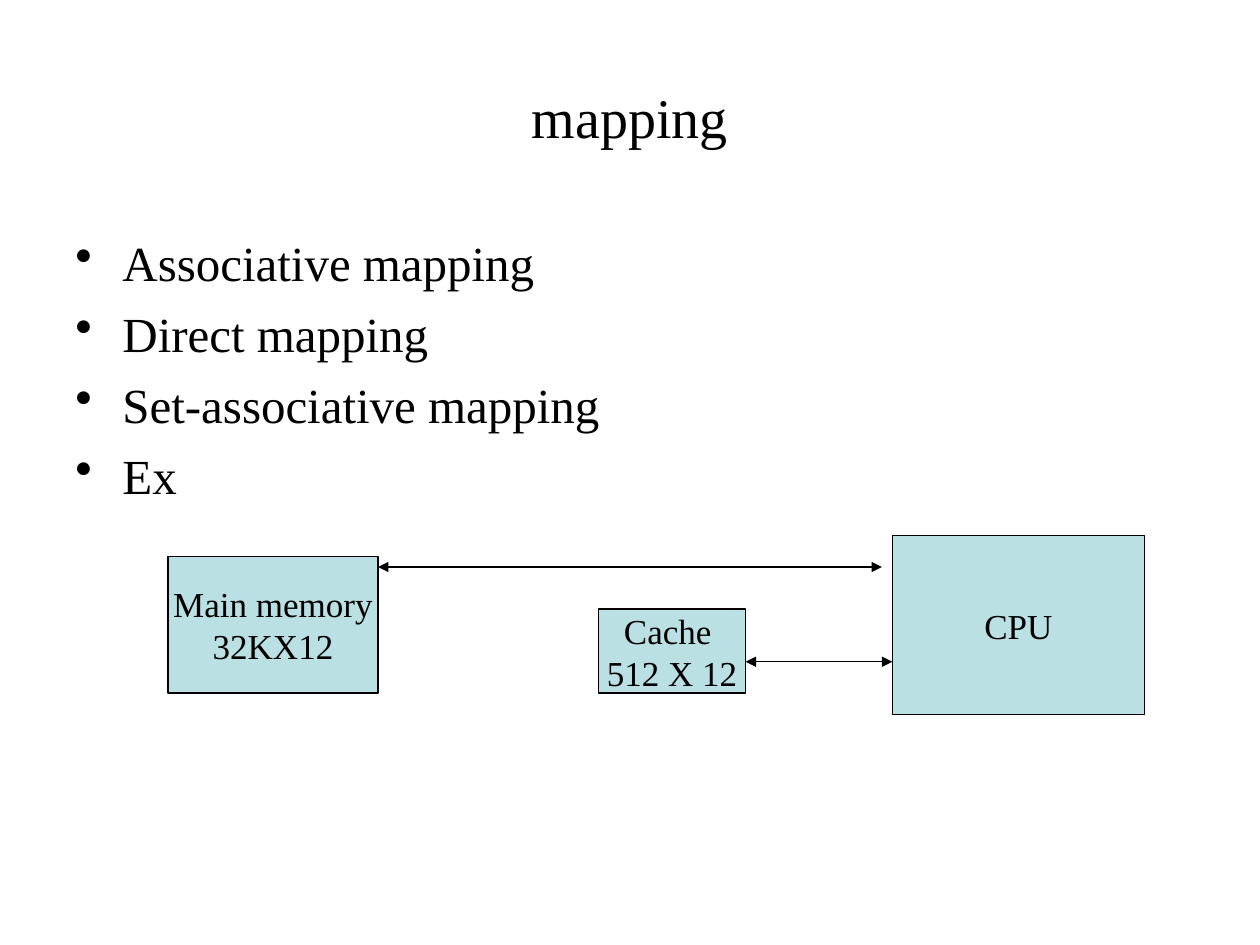
from lxml.etree import SubElement
from pptx import Presentation
from pptx.dml.color import RGBColor
from pptx.enum.shapes import MSO_CONNECTOR as Connector, MSO_SHAPE as Shape
from pptx.enum.text import MSO_ANCHOR as Anchor, PP_ALIGN as Align
from pptx.oxml.ns import qn
from pptx.util import Cm, Pt

COLORS = {"ink": "000000", "block": "BBE0E3"}
FONT = "Times New Roman"


def color(name):
    return RGBColor.from_string(COLORS[name])


class SlideBuilder:
    title_size, body_size, block_size = 32, 28, 20
    line_width = Pt(0.75)
    bullet_indent = Cm(0.95)
    bullet_gap = Pt(7)

    def __init__(self, slide):
        self.slide = slide

    def add_lines(self, frame, lines, size, align, bulleted=False):
        for index, line in enumerate(lines):
            paragraph = frame.paragraphs[0] if index == 0 else frame.add_paragraph()
            paragraph.alignment = align
            if bulleted:
                if index:
                    paragraph.space_before = self.bullet_gap
                self.add_bullet(paragraph)
            run = paragraph.add_run()
            run.text = line
            run.font.name = FONT
            run.font.size = Pt(size)
            run.font.color.rgb = color("ink")

    def add_bullet(self, paragraph):
        properties = paragraph._p.get_or_add_pPr()
        properties.set("marL", str(self.bullet_indent))
        properties.set("indent", str(-self.bullet_indent))
        SubElement(properties, qn("a:buChar")).set("char", "•")

    def text_box(self, left, top, width, height):
        box = self.slide.shapes.add_textbox(Cm(left), Cm(top), Cm(width), Cm(height))
        box.text_frame.word_wrap = True
        return box.text_frame

    def title(self, text, *bounds):
        frame = self.text_box(*bounds)
        frame.vertical_anchor = Anchor.MIDDLE
        self.add_lines(frame, [text], self.title_size, Align.CENTER)

    def bullets(self, lines, *bounds):
        frame = self.text_box(*bounds)
        frame.margin_top = Cm(0.23)
        self.add_lines(frame, lines, self.body_size, Align.LEFT, bulleted=True)

    def block(self, lines, left, top, width, height):
        shape = self.slide.shapes.add_shape(
            Shape.RECTANGLE, Cm(left), Cm(top), Cm(width), Cm(height))
        shape.shadow.inherit = False
        shape.fill.solid()
        shape.fill.fore_color.rgb = color("block")
        shape.line.color.rgb = color("ink")
        shape.line.width = self.line_width
        frame = shape.text_frame
        frame.word_wrap = False
        frame.vertical_anchor = Anchor.MIDDLE
        self.add_lines(frame, lines, self.block_size, Align.CENTER)

    def double_arrow(self, start, end, y):
        """Draw a horizontal line with an arrowhead at both ends."""
        arrow = self.slide.shapes.add_connector(
            Connector.STRAIGHT, Cm(start), Cm(y), Cm(end), Cm(y))
        arrow.line.color.rgb = color("ink")
        arrow.line.width = self.line_width
        outline = arrow.line._get_or_add_ln()
        for end_tag in ("a:headEnd", "a:tailEnd"):
            SubElement(outline, qn(end_tag)).set("type", "triangle")
        SubElement(arrow._element.spPr, qn("a:effectLst"))


def main():
    presentation = Presentation()
    presentation.slide_width, presentation.slide_height = Cm(25.4), Cm(19.05)
    builder = SlideBuilder(presentation.slides.add_slide(presentation.slide_layouts[6]))

    builder.title("mapping", 1.27, 0.76, 22.86, 3.18)
    builder.bullets(
        ["Associative mapping", "Direct mapping", "Set-associative mapping", "Ex"],
        1.27, 4.45, 22.86, 12.57)

    builder.block(["Main memory", "32KX12"], 3.39, 11.22, 4.23, 2.75)
    builder.block(["Cache ", "512 X 12"], 12.07, 12.28, 2.96, 1.69)
    builder.block(["CPU"], 17.99, 10.8, 5.08, 3.6)
    builder.double_arrow(15.03, 17.99, 13.34)
    builder.double_arrow(7.62, 17.78, 11.43)

    presentation.save("out.pptx")


if __name__ == "__main__":
    main()
